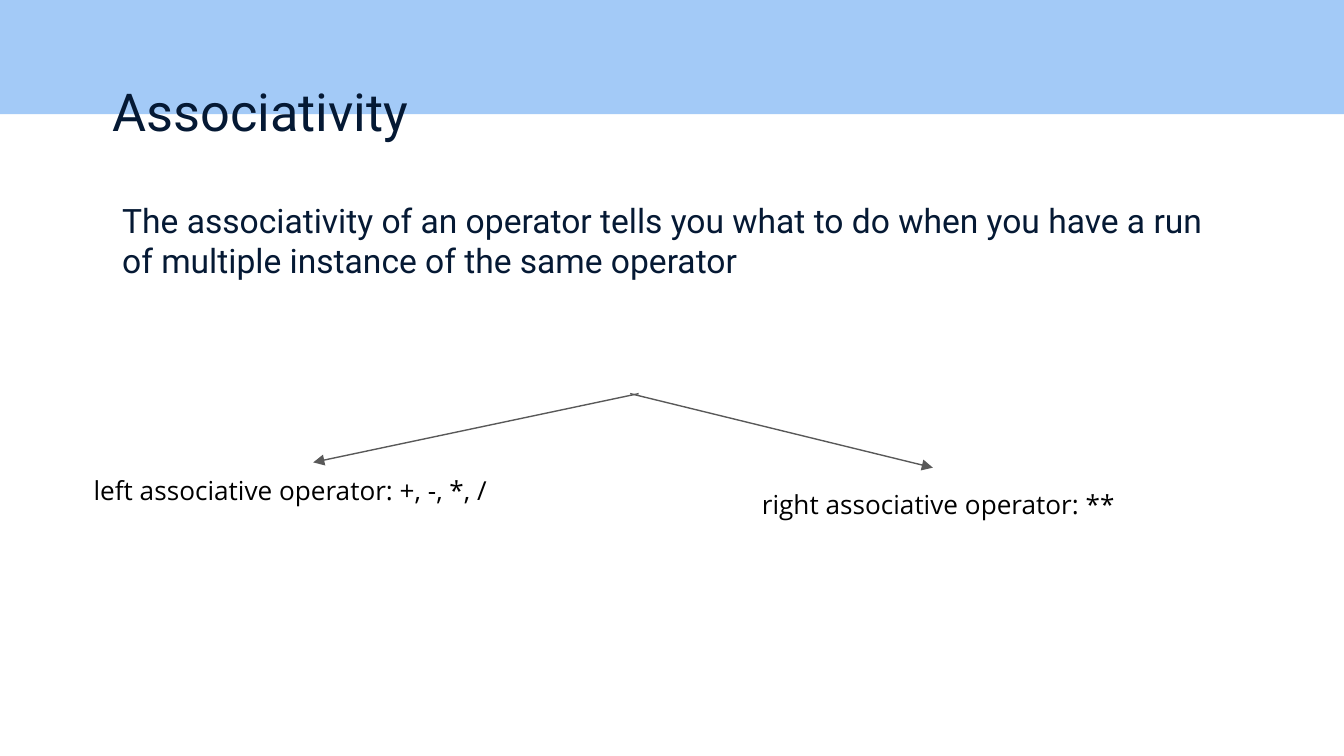
"""Build a slide that explains operator associativity."""
from dataclasses import dataclass

from lxml import etree
from pptx import Presentation
from pptx.dml.color import RGBColor
from pptx.enum.shapes import MSO_CONNECTOR, MSO_SHAPE
from pptx.enum.text import MSO_ANCHOR
from pptx.oxml.ns import qn
from pptx.util import Cm, Pt

RECT = MSO_SHAPE.RECTANGLE
LINE = MSO_CONNECTOR.STRAIGHT
TOP = MSO_ANCHOR.TOP


@dataclass(frozen=True)
class Theme:
    band: RGBColor = RGBColor.from_string("A3CAF7")
    navy: RGBColor = RGBColor.from_string("051934")
    black: RGBColor = RGBColor.from_string("000000")
    gray: RGBColor = RGBColor.from_string("595959")
    head: str = "Roboto"
    body: str = "Open Sans"
    title: Pt = Pt(28)
    lead: Pt = Pt(18)
    label: Pt = Pt(14)
    stroke: Pt = Pt(0.75)


theme = Theme()
deck = Presentation()
deck.slide_width, deck.slide_height = Cm(25.4), Cm(14.29)
slide = deck.slides.add_slide(deck.slide_layouts[6])
shapes = slide.shapes

band = shapes.add_shape(RECT, 0, 0, deck.slide_width, Cm(2.16))
band.shadow.inherit = False
band.fill.solid()
band.fill.fore_color.rgb = theme.band
band.line.fill.background()


def add_text(text, box, face, size, color):
    frame = shapes.add_textbox(*map(Cm, box)).text_frame
    frame.word_wrap = True
    frame.vertical_anchor = TOP
    frame.margin_left = frame.margin_right = Cm(0.25)
    frame.margin_top = frame.margin_bottom = Cm(0.25)
    para = frame.paragraphs[0]
    para.text = text
    para.font.name = face
    para.font.size = size
    para.font.color.rgb = color


add_text("Associativity", (1.88, 1.24, 19.63, 1.6),
         theme.head, theme.title, theme.navy)
add_text("The associativity of an operator tells you what to do when you "
         "have a run of multiple instance of the same operator",
         (2.06, 3.53, 21.31, 2.72), theme.head, theme.lead, theme.navy)

for start, end in (((11.91, 7.44), (17.63, 8.84)),
                   ((12.07, 7.44), (5.92, 8.74))):
    arrow = shapes.add_connector(LINE, *map(Cm, start + end))
    arrow.line.color.rgb = theme.gray
    arrow.line.width = theme.stroke
    tip = etree.SubElement(arrow.line._get_or_add_ln(), qn("a:tailEnd"))
    tip.set("type", "triangle")
    etree.SubElement(arrow._element.spPr, qn("a:effectLst"))

for text, left, top in (("left associative operator: +, -, *, /", 1.52, 8.71),
                        ("right associative operator: **", 14.15, 8.99)):
    add_text(text, (left, top, 8.33, 2.72),
             theme.body, theme.label, theme.black)

deck.save("out.pptx")
